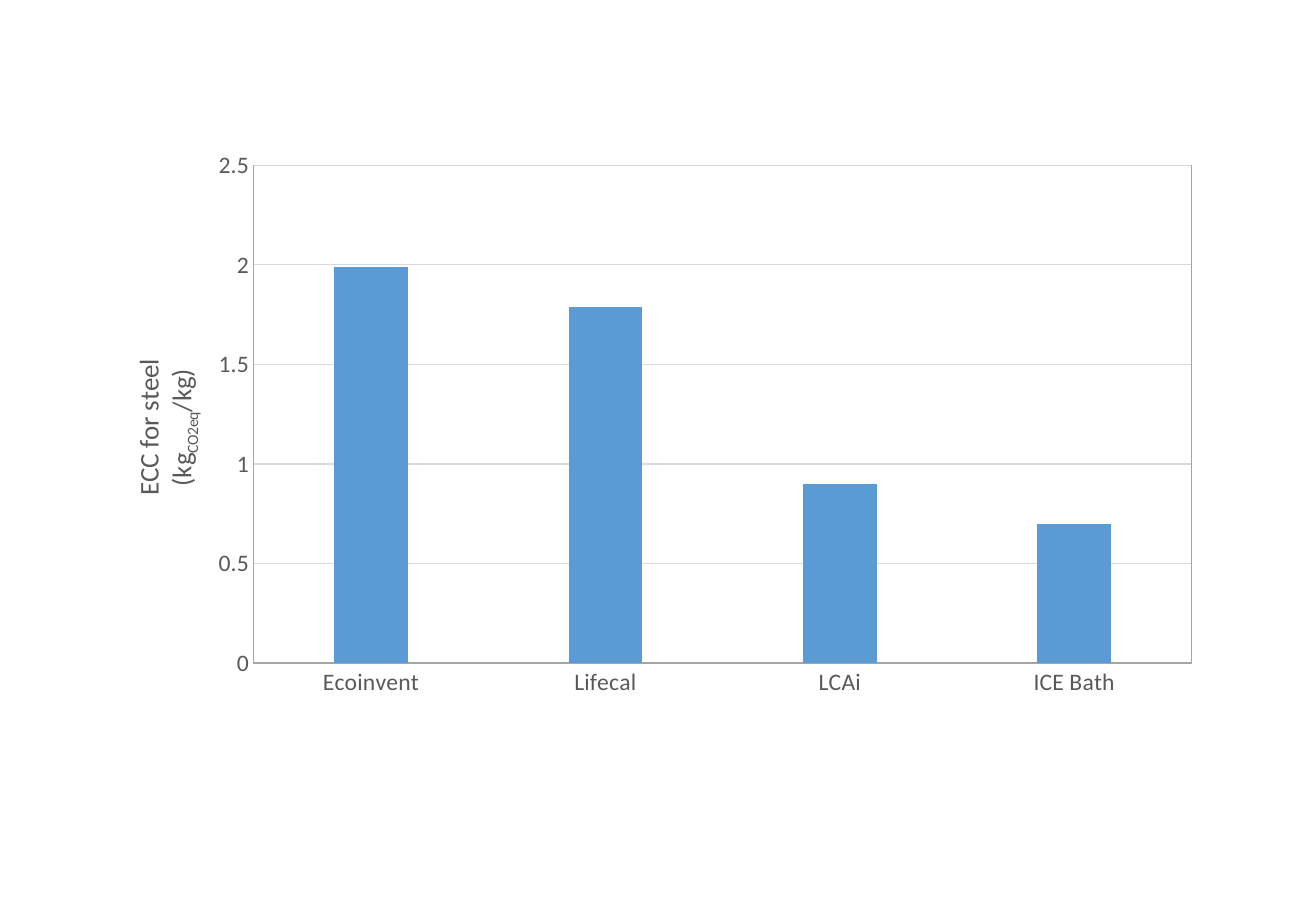
from lxml import etree
from pptx import Presentation
from pptx.chart.data import CategoryChartData
from pptx.dml.color import RGBColor
from pptx.enum.chart import XL_CHART_TYPE, XL_TICK_MARK
from pptx.oxml import parse_xml
from pptx.oxml.ns import nsdecls, qn
from pptx.util import Inches, Pt

COLUMNS = XL_CHART_TYPE.COLUMN_CLUSTERED
NO_TICK = XL_TICK_MARK.NONE

BLUE = RGBColor(0x5B, 0x9B, 0xD5)
TEXT = RGBColor(0x59, 0x59, 0x59)
AXIS = RGBColor(0xA5, 0xA5, 0xA5)
GRID = RGBColor(0xD9, 0xD9, 0xD9)
FONT = "Calibri"

FACTORS = {"Ecoinvent": 1.99, "Lifecal": 1.79, "LCAi": 0.9, "ICE Bath": 0.7}


def set_font(font, size):
    font.name, font.size, font.bold = FONT, Pt(size), False
    font.color.rgb = TEXT


def set_line(line, color):
    line.color.rgb = color
    line.width = Pt(0.75)


def set_layout(parent, index, inner=False, **shares):
    """Place a chart part by shares of the chart's size."""
    for old in parent.findall(qn("c:layout")):
        parent.remove(old)
    layout = parse_xml(f'<c:layout {nsdecls("c")}><c:manualLayout/></c:layout>')
    manual = layout[0]
    values = {"layoutTarget": "inner"} if inner else {}
    values.update(xMode="edge", yMode="edge", **shares)
    for tag, value in values.items():
        etree.SubElement(manual, qn(f"c:{tag}")).set("val", str(value))
    parent.insert(index, layout)


def add_axis_title(axis):
    tf = axis.axis_title.text_frame
    p = tf.paragraphs[0]
    p.add_run().text = "ECC for steel"
    set_font(p.font, 16)
    p = tf.add_paragraph()
    set_font(p.font, 16)
    for text, baseline in (("(kg", 0), ("CO2eq", -25000), ("/kg)", 0)):
        r = p.add_run()
        r.text = text
        r.font.size = Pt(16)
        if baseline:
            r.font._element.set("baseline", str(baseline))
    # Turn the title to read upwards
    title = axis.axis_title._element
    body = title.find(".//" + qn("a:bodyPr"))
    body.set("rot", "-5400000")
    body.set("vert", "horz")
    set_layout(title, 1, x=0.03, y=0.38)


def add_factor_chart(s, left, top, width, height):
    data = CategoryChartData()
    data.categories = list(FACTORS)
    data.add_series("Series 1", list(FACTORS.values()))
    chart = s.shapes.add_chart(COLUMNS, left, top, width, height, data).chart
    chart.has_legend = chart.has_title = False
    set_font(chart.font, 10)

    # Columns
    plot = chart.plots[0]
    plot.gap_width, plot.overlap, plot.vary_by_categories = 219, -27, False
    fill = plot.series[0].format.fill
    fill.solid()
    fill.fore_color.rgb = BLUE

    # Axes
    for axis in (chart.category_axis, chart.value_axis):
        axis.major_tick_mark = axis.minor_tick_mark = NO_TICK
        set_font(axis.tick_labels.font, 14)
        set_line(axis.format.line, AXIS)
    axis = chart.value_axis
    axis.minimum_scale, axis.maximum_scale, axis.major_unit = 0, 2.5, 0.5
    axis.tick_labels.number_format = "General"
    axis.tick_labels.number_format_is_linked = False
    axis.has_major_gridlines = True
    set_line(axis.major_gridlines.format.line, GRID)
    add_axis_title(axis)

    # Framed plot area
    area = chart._chartSpace.find(".//" + qn("c:plotArea"))
    set_layout(area, 0, inner=True, x=0.143, y=0.045, w=0.837, h=0.876)
    area.append(parse_xml(
        f'<c:spPr {nsdecls("c", "a")}><a:noFill/><a:ln w="{Pt(0.75)}"><a:solidFill>'
        f'<a:srgbClr val="{AXIS}"/></a:solidFill></a:ln></c:spPr>'))


def main():
    prs = Presentation()
    prs.slide_width, prs.slide_height = Inches(10.83), Inches(7.5)
    s = prs.slides.add_slide(prs.slide_layouts[6])
    add_factor_chart(s, Inches(0.77), Inches(1.15), Inches(9.22), Inches(4.68))
    prs.save("out.pptx")


if __name__ == "__main__":
    main()
